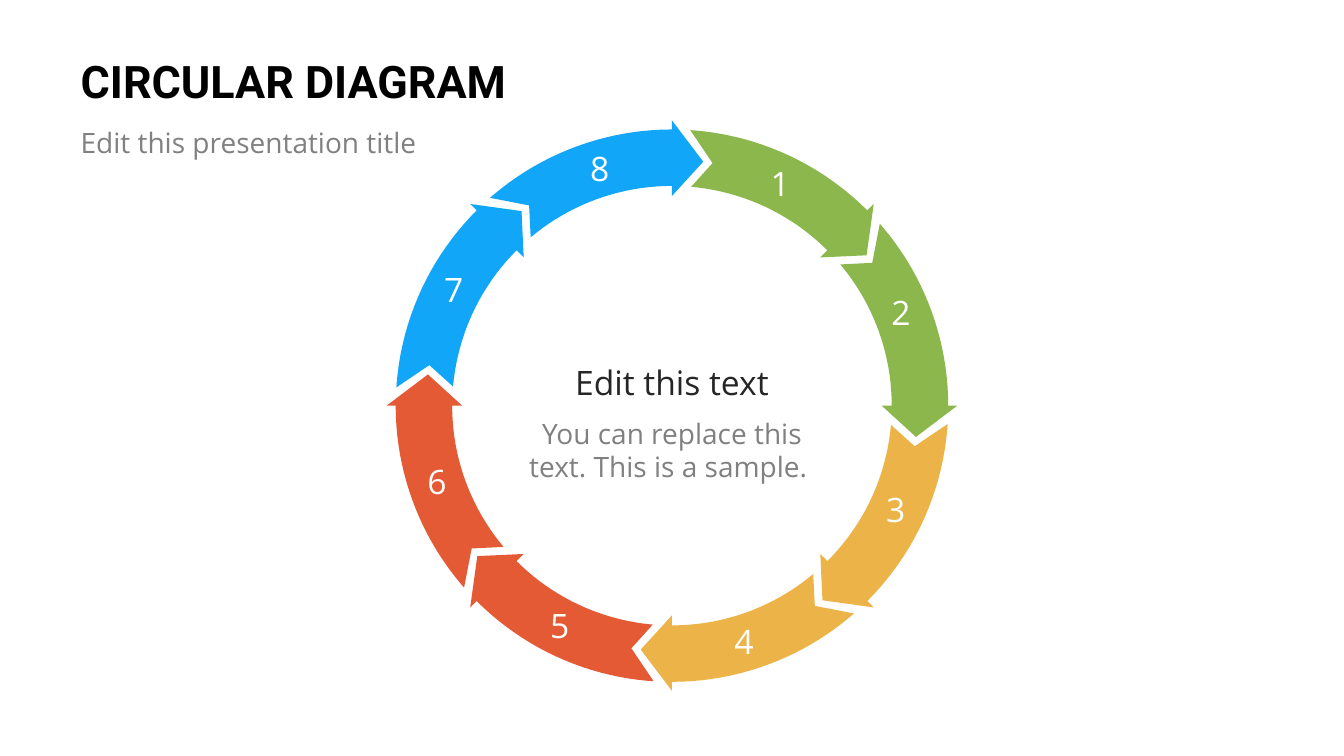
from math import cos, radians, sin

from pptx import Presentation
from pptx.dml.color import RGBColor
from pptx.enum.text import MSO_ANCHOR, PP_ALIGN
from pptx.util import Inches, Pt

BLACK = RGBColor(0x00, 0x00, 0x00)
DARK = RGBColor(0x26, 0x26, 0x26)
GRAY = RGBColor(0x80, 0x80, 0x80)
WHITE = RGBColor(0xFF, 0xFF, 0xFF)
GREEN = RGBColor(0x8B, 0xB7, 0x4C)
YELLOW = RGBColor(0xEC, 0xB4, 0x48)
RED = RGBColor(0xE3, 0x5A, 0x35)
BLUE = RGBColor(0x12, 0xA6, 0xF8)

# Ring radii in inches, from the inner barb to the outer barb
INNER_BARB, INNER, MIDDLE, OUTER, OUTER_BARB = 2.08, 2.18, 2.44, 2.74, 2.83

# Fill of each arrow and the clockwise angle of its number
ARROWS = [(GREEN, 26), (GREEN, 68), (YELLOW, 115), (YELLOW, 163),
          (RED, 207), (RED, 252), (BLUE, 298), (BLUE, 343)]
STEP = 360 / len(ARROWS)


def add_text(slide, text, x, y, w, h, size=20, font="Open Sans", color=GRAY,
             bold=False, align=PP_ALIGN.LEFT, anchor=MSO_ANCHOR.TOP,
             wrap=True, inset=(0.1, 0.05)):
    sp = slide.shapes.add_textbox(Inches(x), Inches(y), Inches(w), Inches(h))
    tf = sp.text_frame
    tf.word_wrap = wrap
    tf.vertical_anchor = anchor
    tf.margin_left = tf.margin_right = Inches(inset[0])
    tf.margin_top = tf.margin_bottom = Inches(inset[1])
    p = tf.paragraphs[0]
    p.alignment = align
    r = p.add_run()
    r.text = text
    r.font.size = Pt(size)
    r.font.name = font
    r.font.bold = bold
    r.font.color.rgb = color


def polar(cx, cy, radius, angle):
    """Point at a clockwise angle from the top of the ring."""
    a = radians(angle)
    return cx + radius * sin(a), cy - radius * cos(a)


def add_arrow(slide, cx, cy, head, color):
    """Curved arrow whose head starts at the given angle."""
    outer_arc = [(OUTER, a) for a in range(-40, 1, 2)]
    inner_arc = [(INNER, a) for a in range(0, -41, -2)]
    outline = ([(OUTER, -41.2)] + outer_arc
               + [(OUTER_BARB, 0), (MIDDLE, 7.3), (INNER_BARB, 0)]
               + inner_arc + [(MIDDLE, -35.5)])
    points = []
    for radius, a in outline:
        x, y = polar(cx, cy, radius, head + a)
        points.append((Inches(x), Inches(y)))
    builder = slide.shapes.build_freeform(*points[0])
    builder.add_line_segments(points[1:], close=True)
    s = builder.convert_to_shape()
    s.shadow.inherit = False
    s.fill.solid()
    s.fill.fore_color.rgb = color
    s.line.fill.background()


def add_ring(slide, x, y, size):
    cx, cy = x + size / 2, y + size / 2
    for n, (color, angle) in enumerate(ARROWS, 1):
        add_arrow(slide, cx, cy, n * STEP, color)
        # Number on the arrow
        w, h = 0.39, 0.52
        nx, ny = polar(cx, cy, 2.45, angle)
        add_text(slide, str(n), nx - w / 2, ny - h / 2, w, h,
                 size=24, color=WHITE, wrap=False)


def add_center_text(slide, x, y, w):
    add_text(slide, "Edit this text", x, y, w, 0.5, size=24, color=DARK,
             align=PP_ALIGN.CENTER)
    add_text(slide, "You can replace this text. This is a sample. ",
             x, y + 0.54, w, 0.77, align=PP_ALIGN.CENTER)


def add_header(slide, x, y):
    inset = (0.13, 0.07)
    add_text(slide, "CIRCULAR DIAGRAM", x, y, 8.5, 0.78, size=32,
             font="Roboto", color=BLACK, bold=True,
             anchor=MSO_ANCHOR.MIDDLE, inset=inset)
    add_text(slide, "Edit this presentation title", x, y + 0.77, 4.33, 0.56,
             inset=inset)


def main():
    prs = Presentation()
    prs.slide_width, prs.slide_height = Inches(13.33), Inches(7.5)
    slide = prs.slides.add_slide(prs.slide_layouts[6])
    add_ring(slide, 3.83, 1.19, 5.67)
    add_center_text(slide, 5.08, 3.54, 3.17)
    add_header(slide, 0.67, 0.41)
    prs.save("out.pptx")


if __name__ == "__main__":
    main()
